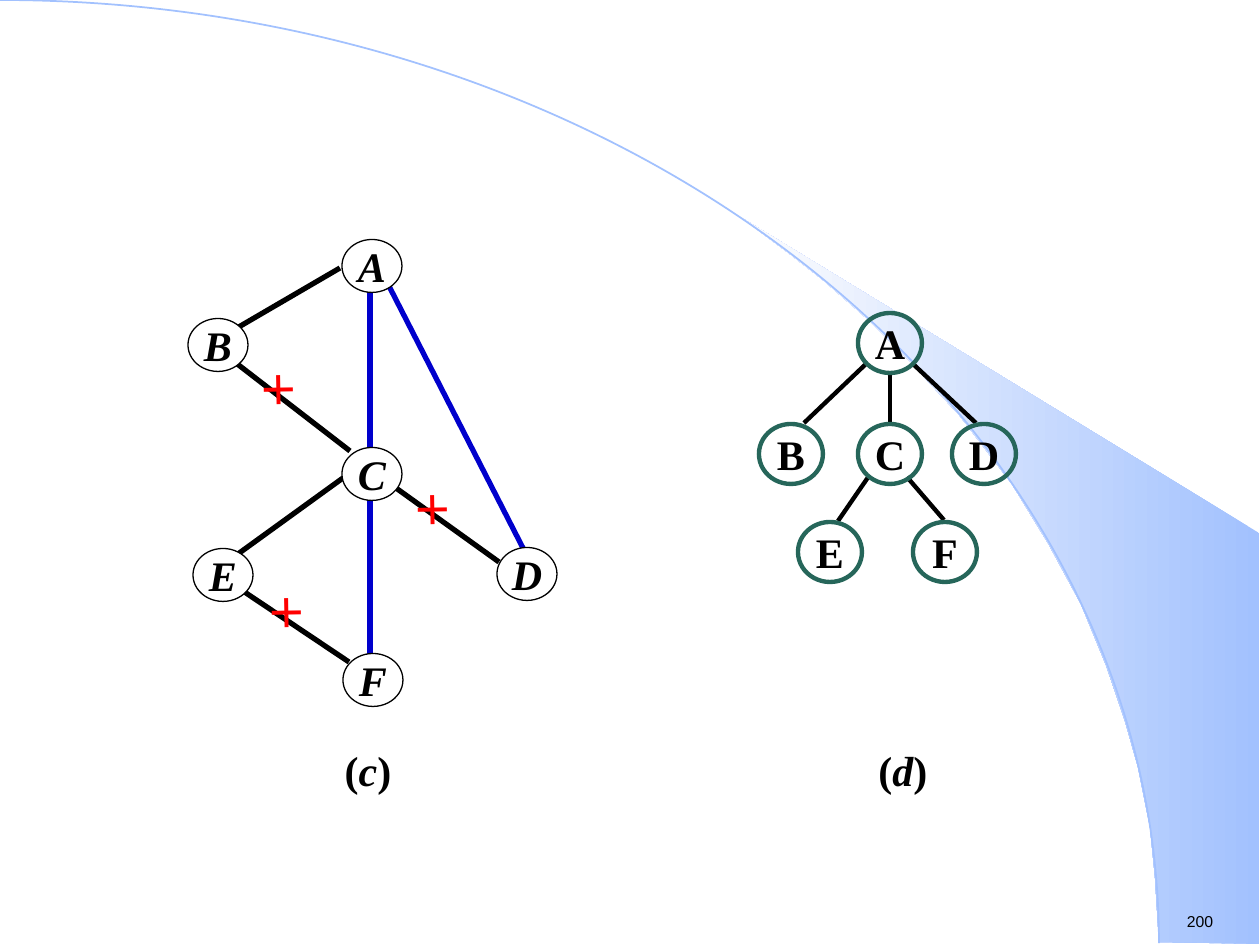
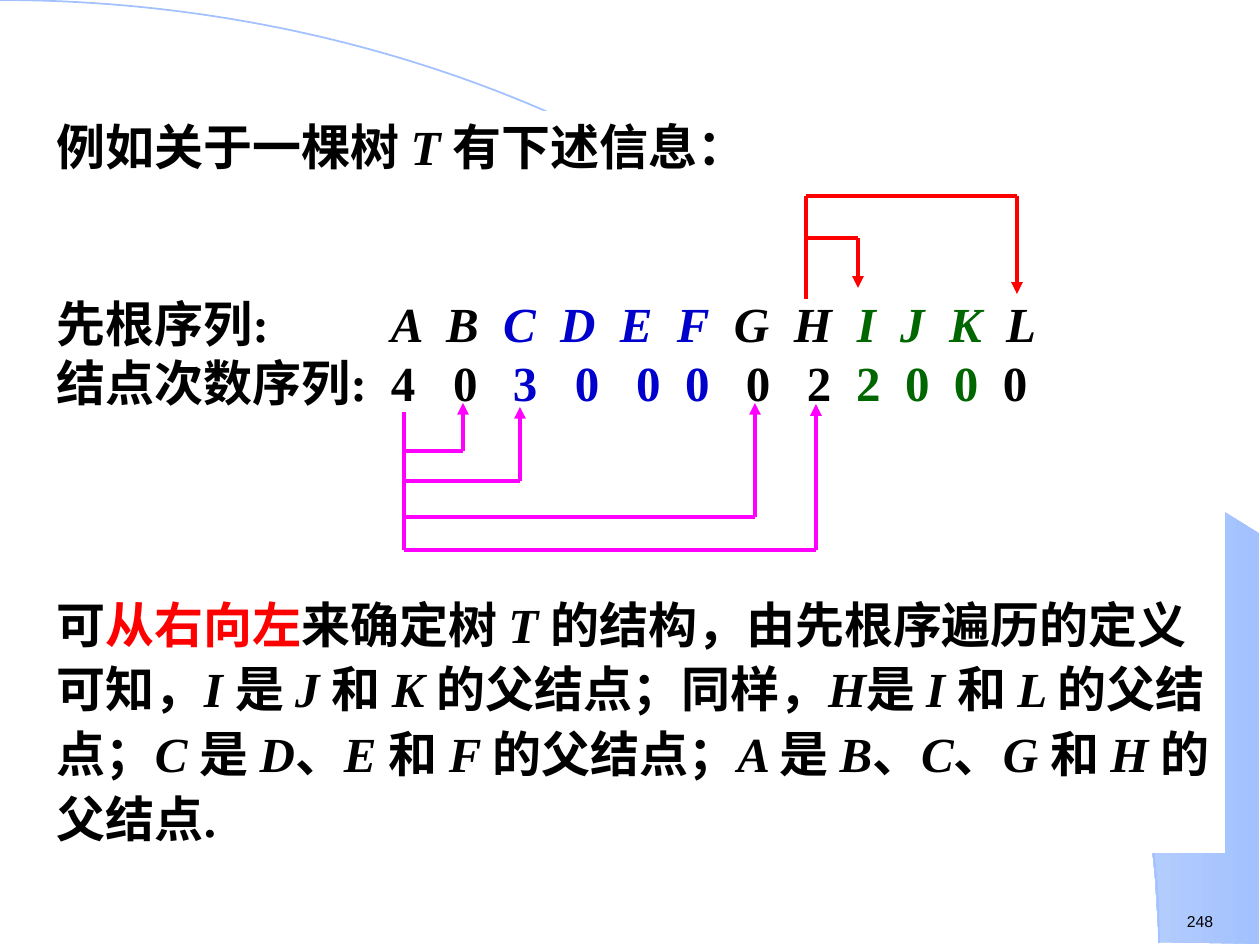
from dataclasses import dataclass

from lxml import etree
from pptx import Presentation
from pptx.dml.color import RGBColor
from pptx.enum.lang import MSO_LANGUAGE_ID
from pptx.enum.shapes import MSO_CONNECTOR, MSO_SHAPE
from pptx.enum.text import MSO_ANCHOR, PP_ALIGN
from pptx.oxml.ns import qn
from pptx.util import Emu, Pt

STRAIGHT = MSO_CONNECTOR.STRAIGHT
ARC, OVAL, RECTANGLE = MSO_SHAPE.ARC, MSO_SHAPE.OVAL, MSO_SHAPE.RECTANGLE
LEFT, CENTER = PP_ALIGN.LEFT, PP_ALIGN.CENTER
TOP, MIDDLE = MSO_ANCHOR.TOP, MSO_ANCHOR.MIDDLE
CHINESE = MSO_LANGUAGE_ID.SIMPLIFIED_CHINESE

EMU_PER_PX = 914400 / 126
SLIDE_SIZE = (1260, 945)


@dataclass(frozen=True)
class Theme:
    black: str = "000000"
    white: str = "FFFFFF"
    pale: str = "FEFEFE"
    sky: str = "A2C1FE"
    teal: str = "26665A"
    blue: str = "0000CC"
    green: str = "006600"
    red: str = "FF0000"
    magenta: str = "FF00FF"
    serif: str = "Times New Roman"
    sans: str = "Arial"
    body_size: int = 28
    node_size: int = 24
    cross_size: int = 32
    number_size: int = 9


THEME = Theme()

BAND_OUTLINE = [
    (1159, 942), (1259, 944), (1259, 533), (742, 218), (786, 251), (823, 280),
    (863, 315), (902, 353), (960, 416), (1012, 484), (1048, 543), (1081, 604),
    (1106, 665), (1125, 721), (1138, 767), (1150, 827), (1155, 877),
]
ARC_RADII = (1159, 943)
NUMBER_BOX = (1174, 906, 84, 31)

GRAPH = {
    "nodes": {"A": (372, 266), "B": (218, 345), "C": (372, 474),
              "D": (527, 574), "E": (223, 575), "F": (373, 680)},
    "node_size": (60, 53),
    "node_line": (THEME.black, 0.75),
    "node_fill": THEME.white,
    "italic": True,
    "edge_width": 3,
    "edges": {
        THEME.blue: [(389, 286, 525, 552), (370, 498, 370, 655), (370, 287, 370, 450)],
        THEME.black: [(340, 268, 237, 328), (343, 478, 238, 554), (236, 363, 350, 451),
                      (396, 488, 499, 562), (243, 591, 349, 662)],
    },
    "caption": ("c", 323),
}
TREE = {
    "nodes": {"A": (890, 343), "B": (791, 454), "C": (890, 454),
              "D": (984, 454), "E": (830, 552), "F": (945, 552)},
    "node_size": (64, 60),
    "node_line": (THEME.teal, 2.5),
    "node_fill": None,
    "italic": False,
    "edge_width": 2.5,
    "edges": {
        THEME.black: [(890, 373, 890, 423), (867, 363, 804, 423), (912, 363, 976, 423),
                      (869, 476, 838, 521), (907, 477, 944, 520)],
    },
    "caption": ("d", 858),
}
CROSSES = [(258, 373), (412, 493), (266, 596)]
CROSS_SIDE, CROSS_ANGLE = 54, 44
CAPTION_TOP, CAPTION_SIZE = 747, (90, 45)

TEXT_BOX = (44, 111, 1181, 742)
TEXT_INSET = (13, 6, 13, 6)
INTRO = "例如关于一棵树 *T *有下述信息："
SEQUENCES = [
    {"label": "先根序列:", "entries": "ABCDEFGHIJKL", "italic": True, "gap": 118,
     "stops": [391, 446, 503, 560, 620, 677, 734, 794, 857, 900, 949, 1006]},
    {"label": "结点次数序列:", "entries": "403000022000", "italic": False, "gap": 0,
     "stops": [391, 453, 513, 575, 636, 685, 746, 807, 856, 905, 954, 1003]},
]
ENTRY_COLOURS = ([THEME.black] * 2 + [THEME.blue] * 4 + [THEME.black] * 2
                 + [THEME.green] * 3 + [THEME.black])
CONCLUSION_START = ["可", "从右向左"]
CONCLUSION = (
    "来确定树 *T *的结构，由先根序遍历的定义可知，*I *是 *J *和 *K *的父结点；"
    "同样，*H*是 *I *和 *L *的父结点；*C *是 *D*、*E *和 *F *的父结点；"
    "*A *是 *B*、*C*、*G *和 *H *的父结点."
)
CONCLUSION_GAP = 177
BRACKETS = [
    {"colour": THEME.red, "stem": (806, 299),
     "branches": [(858, 238, 288), (1017, 196, 294)]},
    {"colour": THEME.magenta, "stem": (404, 412),
     "branches": [(463, 451, 403), (520, 481, 407), (755, 517, 403), (816, 550, 404)]},
]
BRACKET_WIDTH = 2.25


def px(value):
    return Emu(round(value * EMU_PER_PX))


def rgb(colour):
    return RGBColor.from_string(colour)


def add_run(paragraph, text, size, colour=THEME.black, bold=True, italic=False,
            font_name=THEME.serif):
    run = paragraph.add_run()
    run.text = text
    font = run.font
    font.name, font.size, font.bold, font.italic = font_name, Pt(size), bold, italic
    font.color.rgb = rgb(colour)
    font.language_id = CHINESE


def add_marked_runs(paragraph, text):
    for index, part in enumerate(text.split("*")):
        add_run(paragraph, part, THEME.body_size, italic=index % 2 == 1)


def set_frame(shape, inset=(0, 0, 0, 0), anchor=TOP, alignment=LEFT, wrap=False):
    frame = shape.text_frame
    frame.margin_left, frame.margin_top, frame.margin_right, frame.margin_bottom = map(px, inset)
    frame.vertical_anchor = anchor
    frame.word_wrap = wrap
    paragraph = frame.paragraphs[0]
    paragraph.alignment = alignment
    return paragraph


def add_text_box(slide, box, **frame_options):
    shape = slide.shapes.add_textbox(*map(px, box))
    return shape, set_frame(shape, **frame_options)


def add_shape(slide, kind, box, fill=None, line=None):
    shape = slide.shapes.add_shape(kind, *map(px, box))
    shape.shadow.inherit = False
    if fill:
        shape.fill.solid()
        shape.fill.fore_color.rgb = rgb(fill)
    else:
        shape.fill.background()
    if line:
        colour, width = line
        shape.line.color.rgb = rgb(colour)
        shape.line.width = Pt(width)
    else:
        shape.line.fill.background()
    return shape


def add_line(slide, ends, colour, width, arrow=False):
    connector = slide.shapes.add_connector(STRAIGHT, *map(px, ends))
    connector.line.color.rgb = rgb(colour)
    connector.line.width = Pt(width)
    if arrow:
        etree.SubElement(connector.line._get_or_add_ln(), qn("a:tailEnd"), type="triangle")
    etree.SubElement(connector._element.spPr, qn("a:effectLst"))


def add_backdrop(slide, number):
    builder = slide.shapes.build_freeform(*BAND_OUTLINE[0], scale=EMU_PER_PX)
    builder.add_line_segments(BAND_OUTLINE[1:], close=True)
    band = builder.convert_to_shape()
    band.shadow.inherit = False
    band.line.fill.background()
    band.fill.gradient()
    band.fill.gradient_angle = 180
    for stop, colour, position in zip(band.fill.gradient_stops, (THEME.sky, THEME.pale), (0, 1)):
        stop.color.rgb = rgb(colour)
        stop.position = position

    radius_x, radius_y = ARC_RADII
    add_shape(slide, ARC, (-radius_x, 0, 2 * radius_x, 2 * radius_y), line=(THEME.sky, 1))

    _, paragraph = add_text_box(slide, NUMBER_BOX, inset=TEXT_INSET)
    add_run(paragraph, number, THEME.number_size, bold=False, font_name=THEME.sans)


def add_diagram(slide, diagram):
    for colour, edges in diagram["edges"].items():
        for ends in edges:
            add_line(slide, ends, colour, diagram["edge_width"])
    width, height = diagram["node_size"]
    for name, (center_x, center_y) in diagram["nodes"].items():
        box = (center_x - width / 2, center_y - height / 2, width, height)
        node = add_shape(slide, OVAL, box, diagram["node_fill"], diagram["node_line"])
        paragraph = set_frame(node, anchor=MIDDLE, alignment=CENTER)
        add_run(paragraph, name, THEME.node_size, italic=diagram["italic"])

    letter, left = diagram["caption"]
    caption = add_shape(slide, RECTANGLE, (left, CAPTION_TOP, *CAPTION_SIZE), THEME.white)
    paragraph = set_frame(caption, anchor=MIDDLE, alignment=CENTER)
    for text in ("(", letter, ")"):
        add_run(paragraph, text, THEME.node_size, italic=text == letter)


def add_cross(slide, left, top):
    shape, paragraph = add_text_box(slide, (left, top, CROSS_SIDE, CROSS_SIDE), wrap=True)
    shape.rotation = CROSS_ANGLE
    paragraph.line_spacing = 0.8
    add_run(paragraph, "×", THEME.cross_size, THEME.red)


def add_sequence(paragraph, sequence):
    if sequence["gap"]:
        paragraph.space_before = px(sequence["gap"])
    text_left = TEXT_BOX[0] + TEXT_INSET[0]
    tabs = etree.SubElement(paragraph._p.get_or_add_pPr(), qn("a:tabLst"))
    for stop in sequence["stops"]:
        etree.SubElement(tabs, qn("a:tab"), pos=str(px(stop - text_left)), algn="l")
    add_run(paragraph, sequence["label"], THEME.body_size)
    for entry, colour in zip(sequence["entries"], ENTRY_COLOURS):
        add_run(paragraph, "\t" + entry, THEME.body_size, colour, italic=sequence["italic"])


def add_bracket(slide, bracket):
    colour = bracket["colour"]
    stem_x, stem_start = bracket["stem"]
    stem_end = max((branch[1] for branch in bracket["branches"]),
                   key=lambda y: abs(y - stem_start))
    add_line(slide, (stem_x, stem_start, stem_x, stem_end), colour, BRACKET_WIDTH)
    for target_x, branch_y, tip_y in bracket["branches"]:
        add_line(slide, (stem_x, branch_y, target_x, branch_y), colour, BRACKET_WIDTH)
        add_line(slide, (target_x, branch_y, target_x, tip_y), colour, BRACKET_WIDTH, arrow=True)


def build_spanning_tree(slide):
    add_backdrop(slide, "200")
    add_diagram(slide, TREE)
    add_diagram(slide, GRAPH)
    for left, top in CROSSES:
        add_cross(slide, left, top)


def build_preorder(slide):
    add_backdrop(slide, "248")
    panel = add_shape(slide, RECTANGLE, TEXT_BOX, THEME.white)
    add_marked_runs(set_frame(panel, inset=TEXT_INSET, wrap=True), INTRO)
    frame = panel.text_frame
    for sequence in SEQUENCES:
        paragraph = frame.add_paragraph()
        paragraph.alignment = LEFT
        add_sequence(paragraph, sequence)

    conclusion = frame.add_paragraph()
    conclusion.alignment = LEFT
    conclusion.space_before = px(CONCLUSION_GAP)
    conclusion.line_spacing = 1.1
    for text, colour in zip(CONCLUSION_START, (THEME.black, THEME.red)):
        add_run(conclusion, text, THEME.body_size, colour)
    add_marked_runs(conclusion, CONCLUSION)

    for bracket in BRACKETS:
        add_bracket(slide, bracket)


def main():
    presentation = Presentation()
    presentation.slide_width, presentation.slide_height = map(px, SLIDE_SIZE)
    blank = presentation.slide_layouts[6]
    for build in (build_spanning_tree, build_preorder):
        build(presentation.slides.add_slide(blank))
    presentation.save("out.pptx")


if __name__ == "__main__":
    main()
